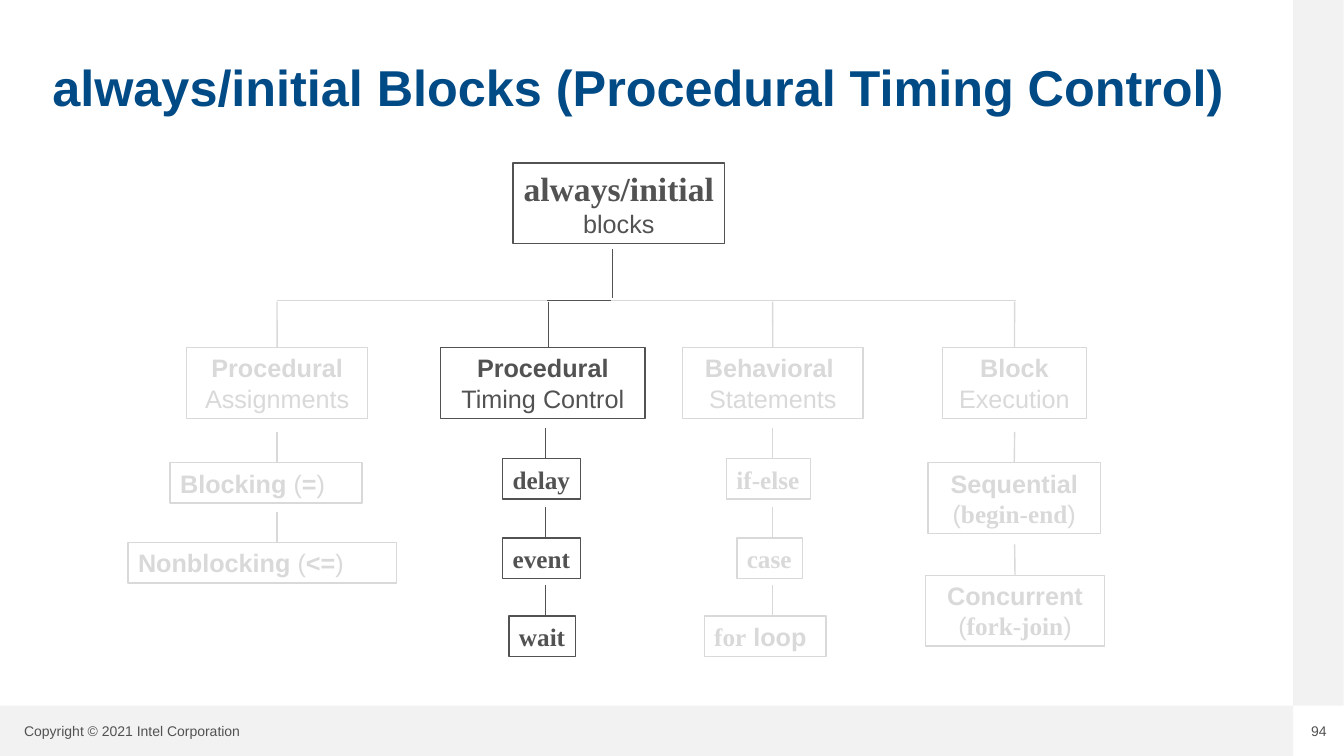
import pptx
import pptx.util
import pptx.dml.color
import pptx.enum.shapes
import pptx.enum.text
from lxml import etree

Cm, Pt = pptx.util.Cm, pptx.util.Pt
RGBColor = pptx.dml.color.RGBColor
ALIGN = pptx.enum.text.PP_ALIGN
ANCHOR = pptx.enum.text.MSO_ANCHOR

BLUE = RGBColor(0x00, 0x4A, 0x86)
DARK = RGBColor(0x52, 0x52, 0x52)
FADED = RGBColor(0xD9, 0xD9, 0xD9)
BAND = RGBColor(0xF2, 0xF2, 0xF2)

PLAIN, BOLD, CODE = ("Arial", False), ("Arial", True), ("Times New Roman", True)

BANDS = [(0, 17.78, 32.59, 1.27), (32.59, 0, 1.27, 17.78)]
TITLE = "always/initial Blocks (Procedural Timing Control)"
COPYRIGHT = "Copyright © 2021 Intel Corporation"
PAGE = "94"

ROOT = (12.93, 4.11, 5.33, [[("always/initial", CODE)], [("blocks", PLAIN)]])
HEAD_TOP = 8.76
BRANCHES = [
    {"colour": FADED, "drop_x": 6.98, "spine_x": 6.98,
     "head": (4.7, 4.57, "Procedural", "Assignments"),
     "items": [
         (4.29, 11.66, 4.83, [[("Blocking ", BOLD), ("(", PLAIN), ("=", BOLD), (")", PLAIN)]]),
         (3.23, 13.67, 6.76, [[("Nonblocking ", BOLD), ("(", PLAIN), ("<=", BOLD), (")", PLAIN)]])]},
    {"colour": FADED, "drop_x": 25.57, "spine_x": 25.57,
     "head": (23.75, 3.63, "Block", "Execution"),
     "items": [
         (23.39, 11.66, 4.34, [[("Sequential", BOLD)], [("(", PLAIN), ("begin-end", CODE), (")", PLAIN)]]),
         (23.32, 14.5, 4.52, [[("Concurrent", BOLD)], [("(", PLAIN), ("fork-join", CODE), (")", PLAIN)]])]},
    {"colour": FADED, "drop_x": 19.47, "spine_x": 19.47,
     "head": (17.2, 4.55, "Behavioral ", "Statements"),
     "items": [
         (18.31, 11.56, 2.11, [[("if-else", CODE)]]),
         (18.57, 13.56, 1.65, [[("case", CODE)]]),
         (17.75, 15.52, 3.07, [[("for", CODE), (" loop", BOLD)]])]},
    {"colour": DARK, "drop_x": 13.82, "spine_x": 13.74,
     "head": (11.1, 5.16, "Procedural", "Timing Control"),
     "items": [
         (12.67, 11.56, 1.96, [[("delay", CODE)]]),
         (12.67, 13.56, 1.96, [[("event", CODE)]]),
         (12.83, 15.52, 1.68, [[("wait", CODE)]])]},
]
RAIL_Y = 7.57
RAILS = [(6.98, 13.84, FADED), (15.39, 25.6, FADED), (13.79, 15.39, DARK)]
TRUNK_X, TRUNK_TOP, TRUNK_END = 15.44, 6.27, 7.52
DROP_LENGTH, LINK_LENGTH = 1.16, 0.78
JOIN_TOLERANCE = 0.05

deck = pptx.Presentation()
deck.slide_width, deck.slide_height = Cm(33.87), Cm(19.05)
slide = deck.slides.add_slide(deck.slide_layouts[6])


def set_face(font, style):
    font.name, font.bold = style


def write(frame, paragraphs, sizes, colour, align):
    frame.margin_left = frame.margin_right = Cm(0.25)
    frame.margin_top = frame.margin_bottom = Cm(0.13)
    for index, runs in enumerate(paragraphs):
        paragraph = frame.paragraphs[0] if index == 0 else frame.add_paragraph()
        paragraph.alignment = align
        paragraph.font.size = Pt(sizes[index])
        paragraph.font.color.rgb = colour
        if len({style for _, style in runs}) == 1:
            set_face(paragraph.font, runs[0][1])
        for text, style in runs:
            run = paragraph.add_run()
            run.text = text
            if len(runs) > 1:
                set_face(run.font, style)


def add_label(place, text, size, style, colour, align=ALIGN.LEFT):
    frame = slide.shapes.add_textbox(*map(Cm, place)).text_frame
    write(frame, [[(text, style)]], [size], colour, align)
    frame.word_wrap = True
    frame.vertical_anchor = ANCHOR.MIDDLE
    return frame


def add_rectangle(place):
    rectangle = slide.shapes.add_shape(
        pptx.enum.shapes.MSO_SHAPE.RECTANGLE, *map(Cm, place))
    rectangle.shadow.inherit = False
    return rectangle


def add_box(left, top, width, paragraphs, colour, height=None, sizes=(18, 18)):
    several = len(paragraphs) > 1
    box = add_rectangle((left, top, width, height or (1.78 if several else 1.02)))
    box.fill.background()
    box.line.color.rgb = colour
    box.line.width = Pt(1)
    frame = box.text_frame
    write(frame, paragraphs, sizes, colour, ALIGN.CENTER if several else ALIGN.LEFT)
    frame.vertical_anchor = ANCHOR.TOP
    frame.word_wrap = not several
    if not several:
        frame.margin_right = 0
    return box


def add_line(x1, y1, x2, y2, colour):
    line = slide.shapes.add_connector(
        pptx.enum.shapes.MSO_CONNECTOR.STRAIGHT, *map(Cm, (x1, y1, x2, y2)))
    line.line.color.rgb = colour
    line.line.width = Pt(1)
    etree.SubElement(line._element.spPr, pptx.oxml.ns.qn("a:effectLst"))
    return line


def link_down(x, length, box, colour):
    top = box.top / Cm(1)
    line = add_line(x, top - length, x, top, colour)
    if abs(x - (box.left + box.width / 2) / Cm(1)) < JOIN_TOLERANCE:
        line.end_connect(box, 0)


for place in BANDS:
    band = add_rectangle(place)
    band.fill.solid()
    band.fill.fore_color.rgb = BAND
    band.line.fill.background()

add_label((0.36, 18.08, 6.78, 0.66), COPYRIGHT, 10, PLAIN, DARK)
add_label((32.26, 18.08, 1.95, 0.66), PAGE, 10, PLAIN, DARK, ALIGN.CENTER)
title = add_label((1.07, 0.61, 30.48, 3.33), TITLE, 36, BOLD, BLUE)
title.paragraphs[0].line_spacing = 0.9

add_box(*ROOT, DARK, height=2.03, sizes=(24, 18))
add_line(TRUNK_X, TRUNK_TOP, TRUNK_X, TRUNK_END, DARK)
for start, end, colour in RAILS:
    add_line(start, RAIL_Y, end, RAIL_Y, colour)

for branch in BRANCHES:
    colour = branch["colour"]
    left, width, kind, detail = branch["head"]
    head = add_box(left, HEAD_TOP, width, [[(kind, BOLD)], [(detail, PLAIN)]], colour)
    link_down(branch["drop_x"], DROP_LENGTH, head, colour)
    for item in branch["items"]:
        link_down(branch["spine_x"], LINK_LENGTH, add_box(*item, colour), colour)

deck.save("out.pptx")
